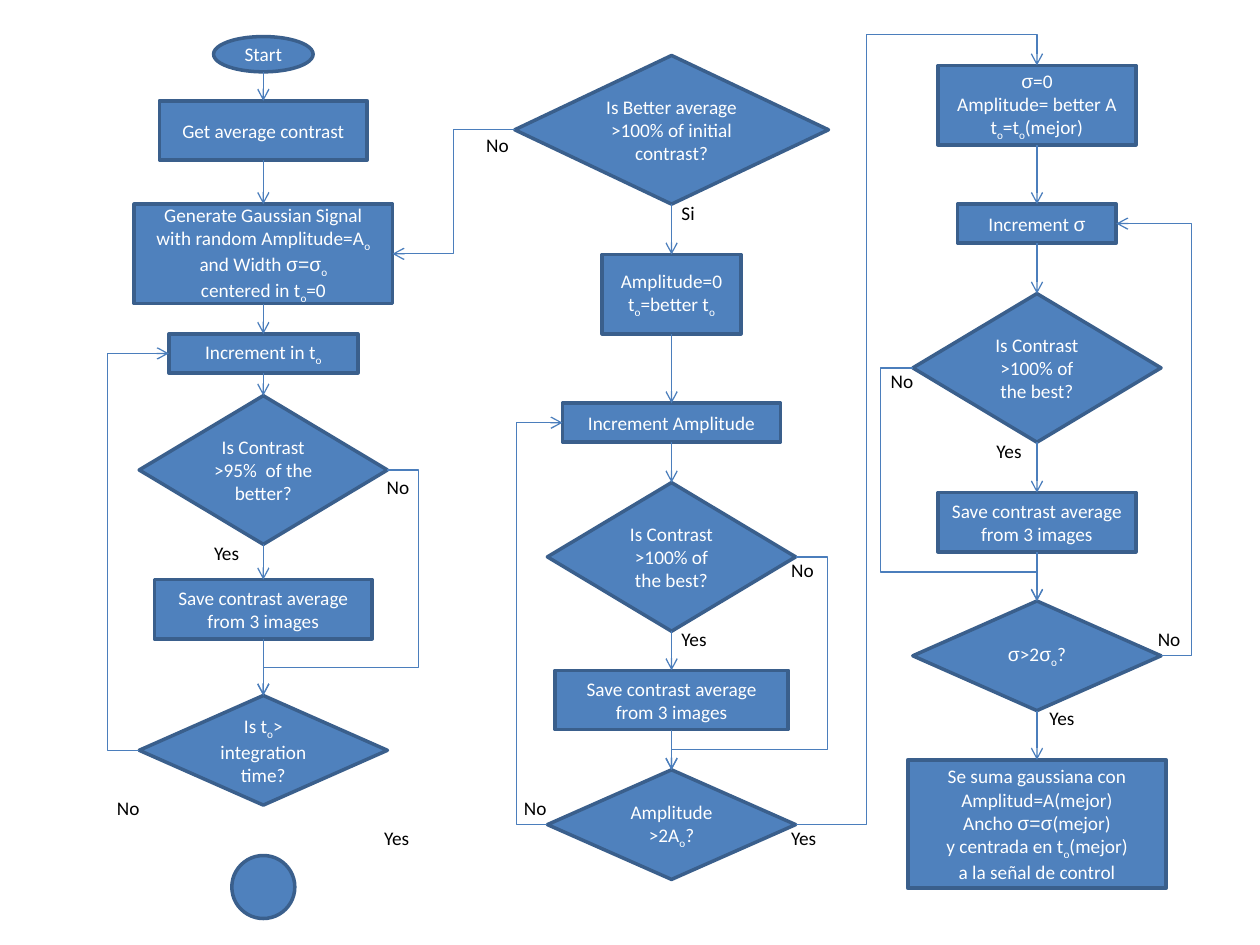
import itertools
import pptx
import pptx.util
import pptx.dml.color
import pptx.enum.shapes
import pptx.enum.text
import pptx.oxml.ns
import lxml.etree

Inches = pptx.util.Inches
Pt = pptx.util.Pt
qn = pptx.oxml.ns.qn
MSO = pptx.enum.shapes.MSO_SHAPE
CONNECTOR = pptx.enum.shapes.MSO_CONNECTOR
COLORS = {"fill": "4F81BD", "border": "3A5F8C", "arrow": "4B7EBC",
          "light": "FFFFFF", "dark": "000000"}
TOP, LEFT, BOTTOM, RIGHT = range(4)


def rgb(name):
    return pptx.dml.color.RGBColor.from_string(COLORS[name])


class Flowchart:
    font, symbol_font, size = "Calibri", "Arial", 11

    def __init__(self, slide):
        self.s = slide

    def set_text(self, tf, text, color, align):
        for i, line in enumerate(text.split("\n")):
            p = tf.paragraphs[0] if i == 0 else tf.add_paragraph()
            p.alignment = align
            p.font.name = self.font
            p.font.size = Pt(self.size)
            p.font.color.rgb = rgb(color)
            for piece in line.split("|"):
                r = p.add_run()
                r.text = piece
                if "σ" in piece:
                    r.font.name = self.symbol_font
                if piece == "o":
                    r.font._element.set("baseline", "-25000")

    def node(self, kind, center, top, width, height, text=""):
        sp = self.s.shapes.add_shape(kind, Inches(center - width / 2), Inches(top),
                                     Inches(width), Inches(height))
        sp.shadow.inherit = False
        sp.fill.solid()
        sp.fill.fore_color.rgb = rgb("fill")
        sp.line.color.rgb = rgb("border")
        sp.line.width = Pt(2)
        tf = sp.text_frame
        tf.word_wrap = True
        tf.vertical_anchor = pptx.enum.text.MSO_ANCHOR.MIDDLE
        if text:
            self.set_text(tf, text, "light", pptx.enum.text.PP_ALIGN.CENTER)
        return sp

    def label(self, text, left, top, width):
        tb = self.s.shapes.add_textbox(Inches(left), Inches(top), Inches(width), Inches(0.29))
        tf = tb.text_frame
        tf.word_wrap = False
        tf.auto_size = pptx.enum.text.MSO_AUTO_SIZE.SHAPE_TO_FIT_TEXT
        self.set_text(tf, text, "dark", pptx.enum.text.PP_ALIGN.LEFT)

    def site(self, sp, side):
        x = {LEFT: sp.left, RIGHT: sp.left + sp.width}.get(side, sp.left + sp.width // 2)
        y = {TOP: sp.top, BOTTOM: sp.top + sp.height}.get(side, sp.top + sp.height // 2)
        return x, y

    def arrow(self, start, end, start_side=BOTTOM, end_side=TOP, via_x=None, via_y=None):
        x1, y1 = self.site(start, start_side)
        x2, y2 = self.site(end, end_side)
        kind = CONNECTOR.STRAIGHT if via_x is None else CONNECTOR.ELBOW
        cx = self.s.shapes.add_connector(kind, x1, y1, x2, y2)
        if start.auto_shape_type != MSO.OVAL:
            cx.begin_connect(start, start_side)
        cx.end_connect(end, end_side)
        cx.line.color.rgb = rgb("arrow")
        cx.line.width = Pt(0.75)
        props = cx._element.spPr
        lxml.etree.SubElement(props.find(qn("a:ln")), qn("a:tailEnd"), type="arrow")
        lxml.etree.SubElement(props, qn("a:effectLst"))
        if via_x is None:
            return
        bends = [(Inches(via_x) - x1) / (x2 - x1)]
        if via_y is not None:
            bends.append((Inches(via_y) - y1) / (y2 - y1))
        geom = props.find(qn("a:prstGeom"))
        geom.set("prst", f"bentConnector{len(bends) + 2}")
        guides = geom.find(qn("a:avLst"))
        for i, bend in enumerate(bends, 1):
            lxml.etree.SubElement(guides, qn("a:gd"), name=f"adj{i}",
                                  fmla=f"val {round(bend * 100000)}")

    def column(self, center, steps):
        nodes = [self.node(kind, center, *step) for kind, *step in steps]
        for start, end in itertools.pairwise(nodes):
            self.arrow(start, end)
        return nodes


prs = pptx.Presentation()
prs.slide_width, prs.slide_height = Inches(10), Inches(7.5)
chart = Flowchart(prs.slides.add_slide(prs.slide_layouts[6]))

BOX, DECISION, PROCESS = MSO.RECTANGLE, MSO.FLOWCHART_DECISION, MSO.FLOWCHART_PROCESS
SAVE = "Save contrast average from 3 images"
BEST = "Is Contrast\n>100% of the best?"

start, average, generate, shift, better, save_shift, shift_done = chart.column(2.09, [
    (MSO.OVAL, 0.29, 0.79, 0.28, "Start"),
    (BOX, 0.8, 1.65, 0.47, "Get average contrast"),
    (BOX, 1.62, 2.05, 0.79, "Generate Gaussian Signal with random Amplitude=A|o| and Width |σ=σ|o"
                            "\ncentered in t|o|=0"),
    (BOX, 2.65, 1.5, 0.31, "Increment in t|o"),
    (DECISION, 3.14, 1.97, 1.18, "Is Contrast\n>95%  of the better?"),
    (PROCESS, 4.6, 1.73, 0.47, SAVE),
    (DECISION, 5.52, 1.97, 0.87, "Is t|o|> integration time?"),
])
initial, reset, amplitude, best_amp, save_amp, amp_done = chart.column(5.33, [
    (DECISION, 0.44, 2.49, 1.18, "Is Better average >100% of initial contrast?"),
    (BOX, 2.02, 1.1, 0.63, "Amplitude=0\nt|o|=better t|o"),
    (BOX, 3.2, 1.73, 0.31, "Increment Amplitude"),
    (DECISION, 3.83, 1.97, 1.18, BEST),
    (PROCESS, 5.32, 1.85, 0.47, SAVE),
    (DECISION, 6.11, 1.97, 0.87, "Amplitude >2A|o|?"),
])
setup, sigma, best_sigma, save_sigma, sigma_done, output = chart.column(8.23, [
    (BOX, 0.52, 1.57, 0.63, "σ|=0\nAmplitude= better A\nt|o|=t|o|(mejor)"),
    (BOX, 1.62, 1.26, 0.31, "Increment |σ"),
    (DECISION, 2.33, 1.97, 1.18, BEST),
    (PROCESS, 3.91, 1.57, 0.47, SAVE),
    (DECISION, 4.77, 1.97, 0.87, "σ|>2|σ|o|?"),
    (BOX, 6.03, 2.05, 1.02, "Se suma gaussiana con Amplitud=A(mejor)\nAncho |σ=σ|(mejor)"
                            "\ny centrada en t|o|(mejor)\na la señal de control"),
])
chart.node(MSO.OVAL, 2.09, 6.79, 0.5, 0.5)

chart.arrow(better, shift_done, RIGHT, TOP, 3.32, 5.3)
chart.arrow(shift_done, shift, LEFT, LEFT, 0.85)
chart.arrow(initial, generate, LEFT, RIGHT, 3.6)
chart.arrow(best_amp, amp_done, RIGHT, TOP, 6.57, 5.95)
chart.arrow(amp_done, amplitude, LEFT, LEFT, 4.1)
chart.arrow(amp_done, setup, RIGHT, TOP, 6.88, 0.27)
chart.arrow(best_sigma, sigma_done, LEFT, TOP, 6.99, 4.54)
chart.arrow(sigma_done, sigma, RIGHT, RIGHT, 9.46)

LABELS = {
    ("No", 0.38): [(2.97, 3.72), (6.18, 4.38), (6.97, 2.88), (0.83, 6.27),
                   (4.06, 6.27), (9.09, 4.93), (3.76, 1.01)],
    ("Yes", 0.41): [(1.6, 4.25), (5.31, 4.93), (7.81, 3.44), (2.95, 6.51),
                    (6.18, 6.51), (8.23, 5.56)],
    ("Si", 0.31): [(5.31, 1.55)],
}
for (text, width), places in LABELS.items():
    for left, top in places:
        chart.label(text, left, top, width)

prs.save("out.pptx")
